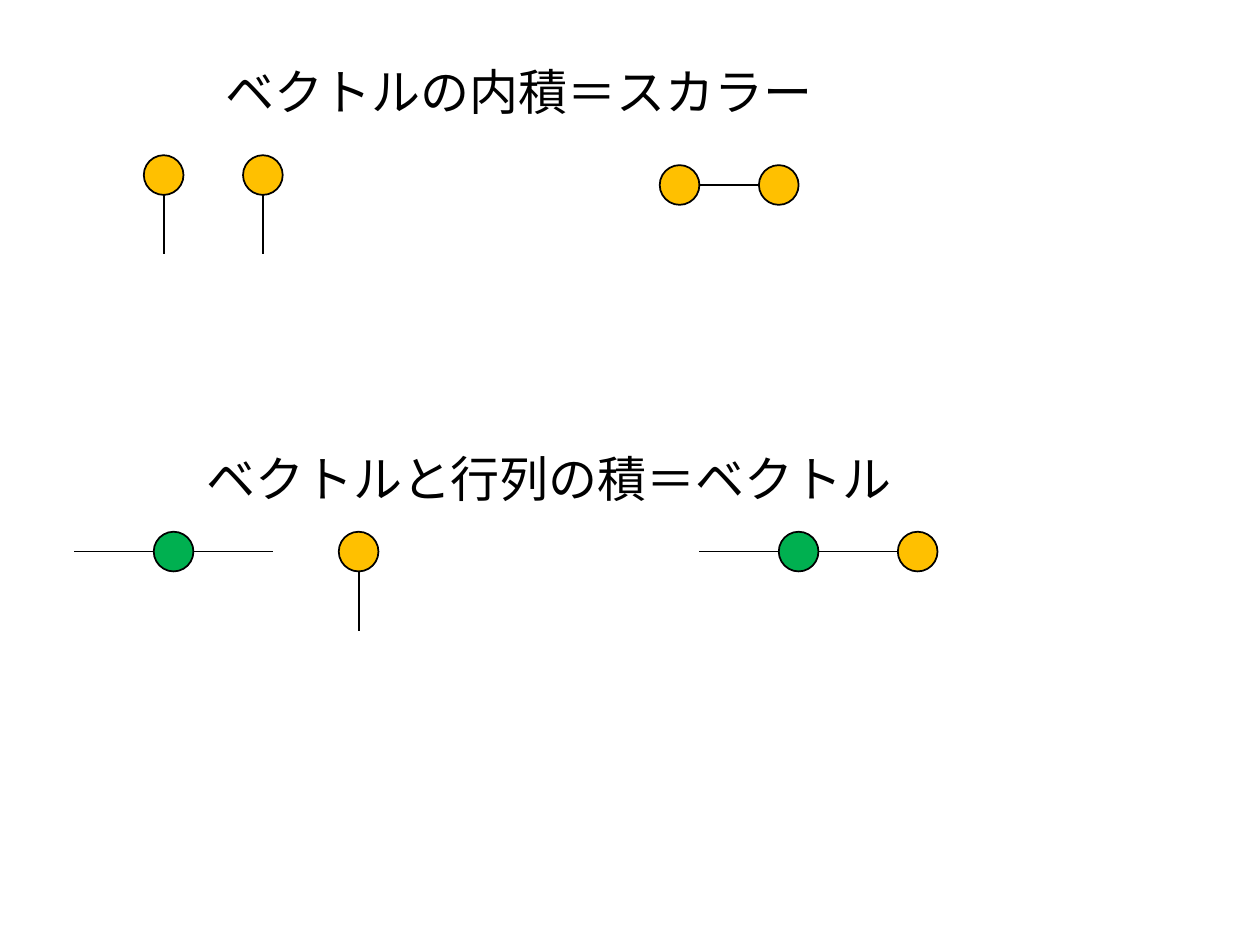
from lxml.etree import SubElement
from pptx import Presentation
from pptx.dml.color import RGBColor
from pptx.enum.shapes import MSO_CONNECTOR, MSO_SHAPE
from pptx.enum.text import MSO_AUTO_SIZE
from pptx.oxml.ns import qn
from pptx.util import Cm, Pt

BLACK = RGBColor(0, 0, 0)
GOLD = RGBColor(0xFF, 0xC0, 0x00)
GREEN = RGBColor(0x00, 0xB0, 0x50)

deck = Presentation()
deck.slide_width, deck.slide_height = Cm(25.4), Cm(19.05)
slide = deck.slides.add_slide(deck.slide_layouts[6])
shapes = slide.shapes


def add_text(text, left, top, width, height=1.45, size=28, font="Calibri", color=BLACK):
    box = shapes.add_textbox(Cm(left), Cm(top), Cm(width), Cm(height))
    frame = box.text_frame
    frame.word_wrap = False
    frame.auto_size = MSO_AUTO_SIZE.SHAPE_TO_FIT_TEXT
    run = frame.paragraphs[0].add_run()
    run.text = text
    run.font.name = font
    run.font.size = Pt(size)
    run.font.color.rgb = color


add_text("ベクトルの内積＝スカラー", left=4.29, top=1.12, width=12.47)
add_text("ベクトルと行列の積＝ベクトル", left=3.91, top=8.92, width=14.48)

radius = 0.4
down, left, right = (0, 1), (-1, 0), (1, 0)
stub, arm = 1.2, 1.6
upper, inner, lower = 3.53, 3.73, 11.12

nodes = [
    (3.3, upper, GOLD, [down], stub),
    (5.3, upper, GOLD, [down], stub),
    (13.7, inner, GOLD, [], stub),
    (15.7, inner, GOLD, [left], stub),
    (3.5, lower, GREEN, [left, right], arm),
    (7.23, lower, GOLD, [down], stub),
    (16.1, lower, GREEN, [left, right], arm),
    (18.5, lower, GOLD, [], arm),
]

for x, y, color, legs, length in nodes:
    node = shapes.add_shape(
        MSO_SHAPE.OVAL, Cm(x - radius), Cm(y - radius), Cm(2 * radius), Cm(2 * radius)
    )
    node.shadow.inherit = False
    node.fill.solid()
    node.fill.fore_color.rgb = color
    node.line.color.rgb = BLACK
    node.line.width = Pt(1)
    for dx, dy in legs:
        end = radius + length
        leg = shapes.add_connector(
            MSO_CONNECTOR.STRAIGHT,
            Cm(x + dx * radius), Cm(y + dy * radius),
            Cm(x + dx * end), Cm(y + dy * end),
        )
        leg.line.color.rgb = BLACK
        leg.line.width = Pt(1)
        SubElement(leg._element.spPr, qn("a:effectLst"))

deck.save("out.pptx")
